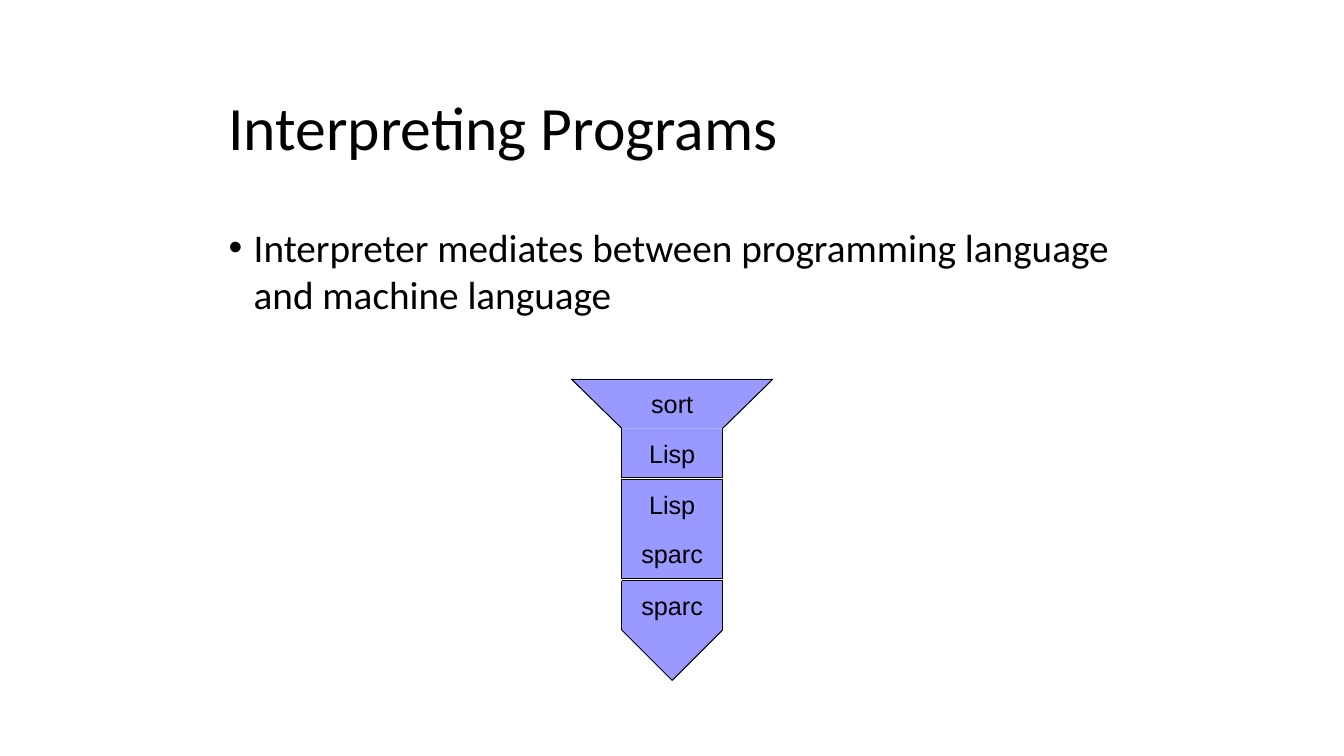
from itertools import pairwise
from pptx import Presentation
from pptx.dml.color import RGBColor
from pptx.enum.shapes import MSO_CONNECTOR, MSO_SHAPE
from pptx.enum.text import MSO_ANCHOR, MSO_AUTO_SIZE, PP_ALIGN
from pptx.oxml import parse_xml
from pptx.oxml.ns import nsdecls
from pptx.util import Inches, Pt

TITLE = "Interpreting Programs"
POINT = "Interpreter mediates between programming language and machine language"
COLORS = {"block": "9999FF", "ink": "000000"}

PX = 9525
LEFT, RIGHT, CENTER = 592, 688, 640
ROW, TIP_HEIGHT, LABEL_HEIGHT, LABEL_GAP = 47, 48, 39, 4
PROGRAM_TOP, INTERPRETER_TOP, MACHINE_TOP = 361, 457, 553
NECK, SHOULDER = PROGRAM_TOP + ROW, MACHINE_TOP + ROW
FUNNEL = [(544, PROGRAM_TOP), (736, PROGRAM_TOP), (RIGHT, NECK), (LEFT, NECK)]
TIP = [(LEFT, SHOULDER), (RIGHT, SHOULDER), (CENTER, SHOULDER + TIP_HEIGHT)]

# Each part: labels as (text, width, top), tops of its blocks, its slanted fill, its outline
PARTS = [
    dict(labels=[("Lisp", 64, NECK), ("sort", 60, PROGRAM_TOP)],
         blocks=[NECK], slant=FUNNEL,
         outline=FUNNEL[:3] + [(RIGHT, NECK + ROW), (LEFT, NECK + ROW), FUNNEL[3], FUNNEL[0]]),
    dict(labels=[("sparc", 80, MACHINE_TOP)],
         blocks=[MACHINE_TOP], slant=TIP,
         outline=[(LEFT, MACHINE_TOP), (RIGHT, MACHINE_TOP), TIP[1], TIP[2], TIP[0],
                  (LEFT, MACHINE_TOP)]),
    dict(labels=[("Lisp", 64, INTERPRETER_TOP), ("sparc", 80, INTERPRETER_TOP + ROW)],
         blocks=[INTERPRETER_TOP, INTERPRETER_TOP + ROW], slant=None, outline=None),
]


def emu(*lengths):
    return [round(length * PX) for length in lengths]


def color(name):
    return RGBColor.from_string(COLORS[name])


def style_text(paragraph, font, size, align):
    paragraph.alignment = align
    for run in paragraph.runs:
        run.font.name = font
        run.font.size = Pt(size)
        run.font.color.rgb = color("ink")


def fill_block(shape):
    shape.shadow.inherit = False
    shape.fill.solid()
    shape.fill.fore_color.rgb = color("block")
    shape.line.fill.background()


def set_ink_line(line):
    line.color.rgb = color("ink")
    line.width = Pt(0.75)


def add_box(shapes, top, height):
    box = shapes.add_shape(MSO_SHAPE.ROUNDED_RECTANGLE,
                           *emu(LEFT, top, RIGHT - LEFT, height))
    box.adjustments[0] = 0
    box.shadow.inherit = False
    return box


def add_label(shapes, text, width, top):
    label = shapes.add_textbox(*emu(CENTER - width / 2, top + LABEL_GAP, width, LABEL_HEIGHT))
    frame = label.text_frame
    frame.text = text
    frame.word_wrap = False
    frame.auto_size = MSO_AUTO_SIZE.SHAPE_TO_FIT_TEXT
    frame.vertical_anchor = MSO_ANCHOR.MIDDLE
    style_text(frame.paragraphs[0], "Arial", 18, PP_ALIGN.CENTER)


def add_edge(shapes, start, end):
    edge = shapes.add_connector(MSO_CONNECTOR.STRAIGHT, *emu(*start, *end))
    set_ink_line(edge.line)
    edge._element.spPr.append(parse_xml(f"<a:effectLst {nsdecls('a')}/>"))


def add_part(slide, labels, blocks, slant, outline):
    shapes = slide.shapes.add_group_shape().shapes
    for top in blocks:
        fill_block(add_box(shapes, top, ROW))
    if slant:
        builder = shapes.build_freeform(*slant[0], scale=PX)
        builder.add_line_segments(slant[1:], close=True)
        fill_block(builder.convert_to_shape())
    for label in labels:
        add_label(shapes, *label)
    if outline:
        for start, end in pairwise(outline):
            add_edge(shapes, start, end)
    else:
        frame = add_box(shapes, blocks[0], ROW * len(blocks))
        frame.fill.background()
        set_ink_line(frame.line)


def fill_placeholder(placeholder, text, place, size, anchor):
    placeholder.left, placeholder.top, placeholder.width, placeholder.height = emu(*place)
    frame = placeholder.text_frame
    frame.text = text
    frame.word_wrap = True
    frame.auto_size = MSO_AUTO_SIZE.NONE
    frame.vertical_anchor = anchor
    paragraph = frame.paragraphs[0]
    paragraph.space_before = Pt(0)
    style_text(paragraph, "Calibri", size, PP_ALIGN.LEFT)
    return paragraph


def main():
    deck = Presentation()
    deck.slide_width, deck.slide_height = Inches(13.33), Inches(7.5)
    slide = deck.slides.add_slide(deck.slide_layouts[1])
    title, body = slide.placeholders
    fill_placeholder(title, TITLE, (208, 80, 864, 80), 44, MSO_ANCHOR.MIDDLE)
    point = fill_placeholder(body, POINT, (208, 208, 864, 100), 28, MSO_ANCHOR.TOP)
    bullet = point._p.get_or_add_pPr()
    bullet.set("marL", str(Inches(0.25)))
    bullet.set("indent", str(-Inches(0.25)))
    bullet.append(parse_xml(f"<a:buFont {nsdecls('a')} typeface='Arial'/>"))
    bullet.append(parse_xml(f"<a:buChar {nsdecls('a')} char='•'/>"))
    for part in PARTS:
        add_part(slide, **part)
    deck.save("out.pptx")


if __name__ == "__main__":
    main()
